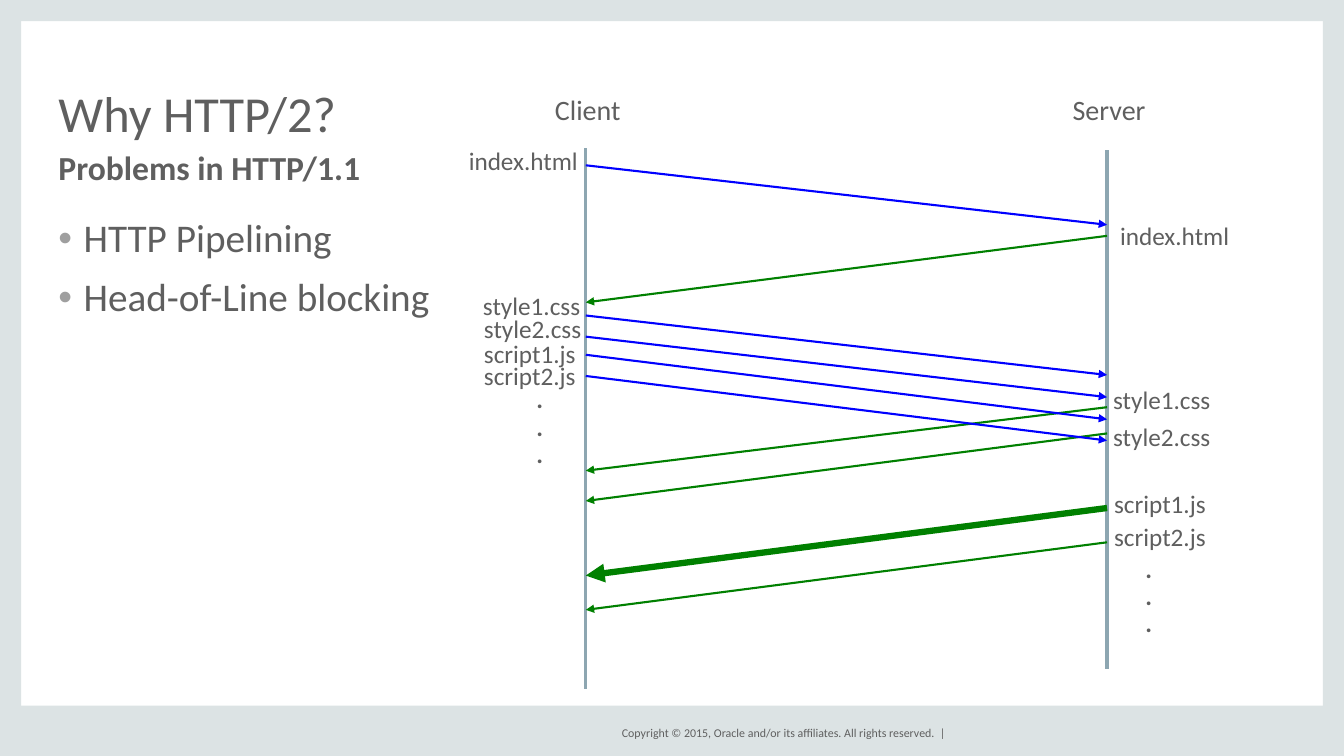
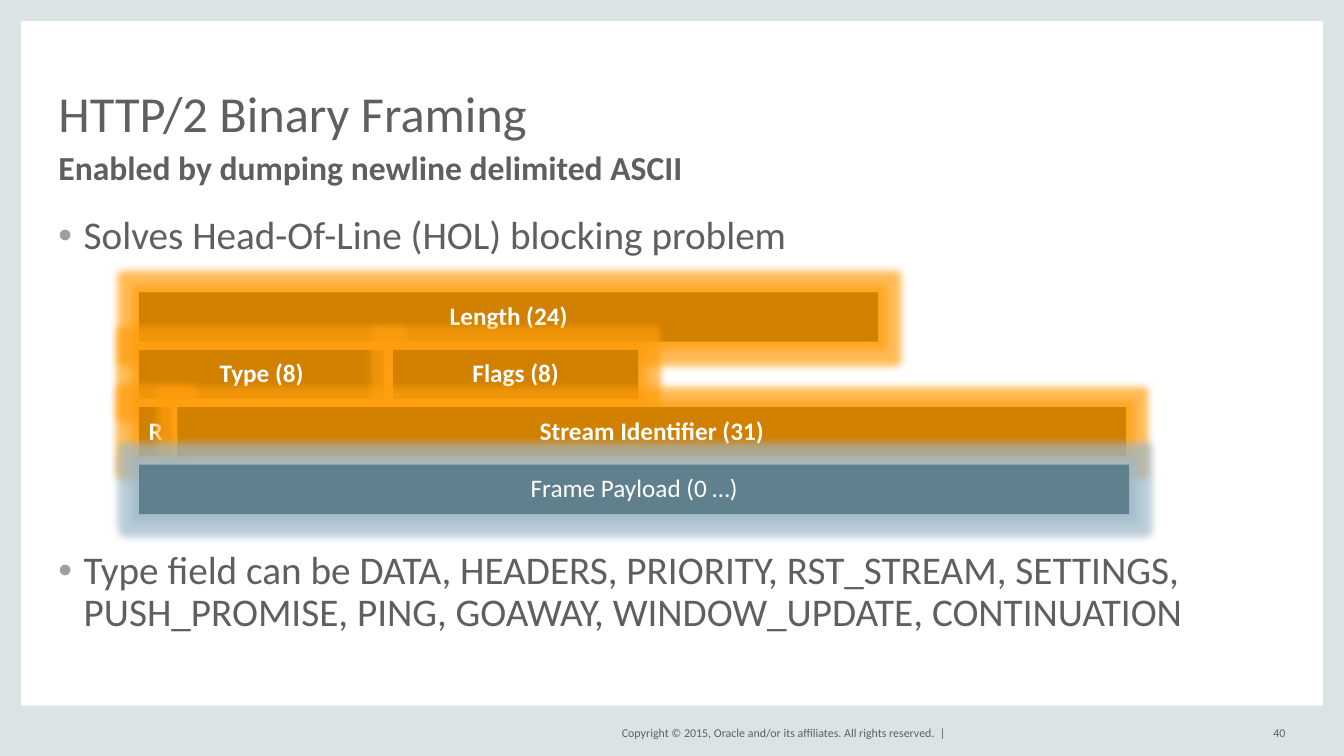
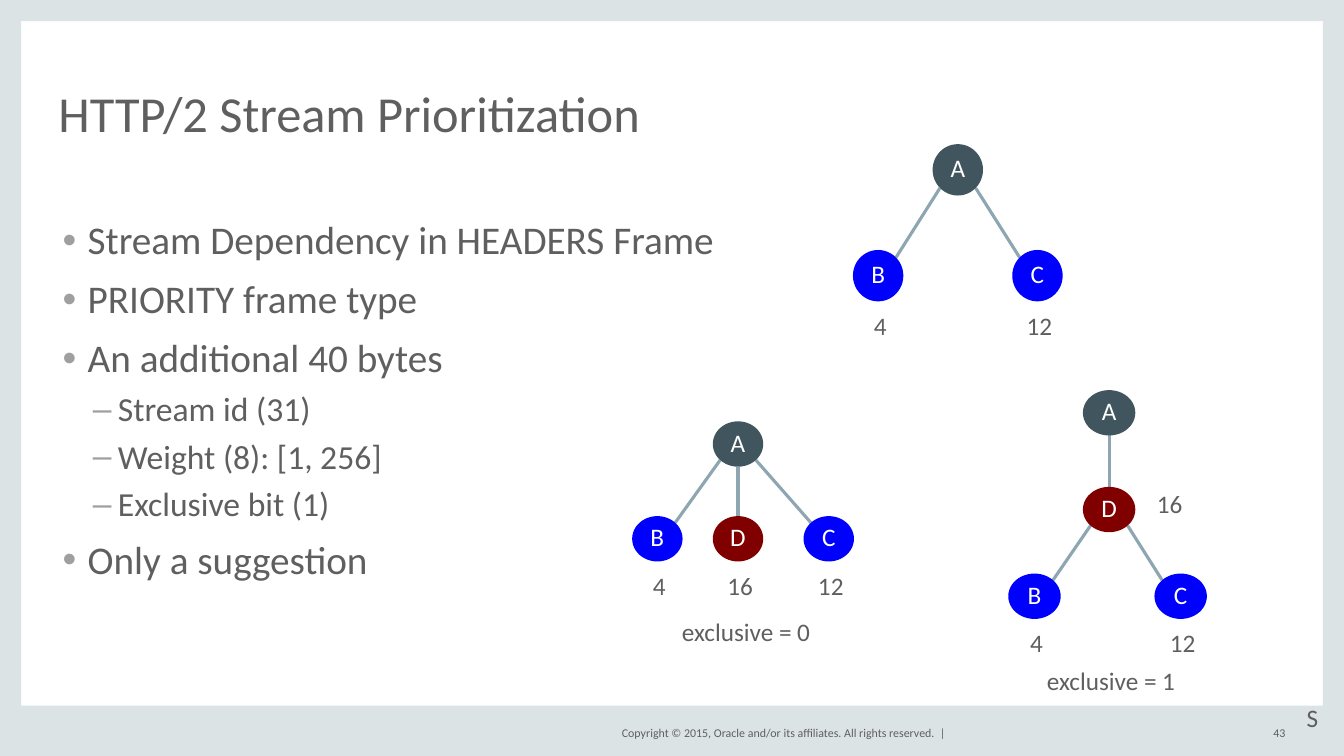
from lxml import etree
from pptx import Presentation
from pptx.dml.color import RGBColor
from pptx.enum.shapes import MSO_CONNECTOR, MSO_SHAPE
from pptx.enum.text import MSO_ANCHOR, MSO_AUTO_SIZE, PP_ALIGN
from pptx.oxml.ns import qn
from pptx.util import Inches, Pt

FONT = "Calibri"
COLORS = {
    "band": "DCE3E4", "text": "5F5F5F", "bullet": "9F9F9F", "white": "FFFFFF",
    "line": "8DA6B1", "request": "0000FF", "response": "008000",
    "header": "D18000", "header_glow": "FF9F0F",
    "payload": "61808E", "payload_glow": "9DB8C9",
    "root": "41555E", "stream": "0000FF", "inserted": "800000",
}
COPYRIGHT = "Copyright © 2015, Oracle and/or its affiliates. All rights reserved.  |"
BULLETS = [("•", 0.25, 28, 12), ("–", 0.55, 24, 8)]  # mark, indent, size, space before
DIAGONAL = 0.5 ** 0.5


def rgb(name):
    return RGBColor.from_string(COLORS[name])


def sub(parent, tag, **attributes):
    return etree.SubElement(parent, qn(tag), attributes)


# Text
def style(paragraph, size, color="text", bold=False, align=PP_ALIGN.LEFT, spacing=0.9):
    paragraph.alignment = align
    paragraph.line_spacing = spacing
    font = paragraph.font
    font.name, font.size, font.bold = FONT, Pt(size), bold
    font.color.rgb = rgb(color)


def prepare_frame(frame, anchor=MSO_ANCHOR.TOP, wrap=True):
    frame.auto_size = MSO_AUTO_SIZE.NONE
    frame.word_wrap = wrap
    frame.vertical_anchor = anchor
    frame.margin_left = frame.margin_right = 0
    frame.margin_top = frame.margin_bottom = 0


def place(placeholder, left, top, width, height, anchor=MSO_ANCHOR.TOP):
    placeholder.left, placeholder.top = Inches(left), Inches(top)
    placeholder.width, placeholder.height = Inches(width), Inches(height)
    prepare_frame(placeholder.text_frame, anchor)
    return placeholder.text_frame


def add_label(slide, text, left, top, width, height, size=18,
              anchor=MSO_ANCHOR.TOP, **look):
    box = slide.shapes.add_textbox(Inches(left), Inches(top), Inches(width), Inches(height))
    frame = box.text_frame
    prepare_frame(frame, anchor, wrap=False)
    frame.text = text
    for paragraph in frame.paragraphs:
        style(paragraph, size, **look)


def add_centered(slide, text, center, top, size=18):
    add_label(slide, text, center - 0.5, top, 1, 0.43, size, align=PP_ALIGN.CENTER)


# Shapes and lines
def add_block(slide, kind, left, top, width, height, fill, text="", bold=False):
    block = slide.shapes.add_shape(kind, Inches(left), Inches(top),
                                   Inches(width), Inches(height))
    block.shadow.inherit = False
    block.fill.solid()
    block.fill.fore_color.rgb = rgb(fill)
    block.line.fill.background()
    if text:
        prepare_frame(block.text_frame, MSO_ANCHOR.MIDDLE, wrap=False)
        block.text_frame.text = text
        style(block.text_frame.paragraphs[0], 18, "white", bold, PP_ALIGN.CENTER)
    return block


def add_glow(block, color):
    effects = block._element.spPr.find(qn("a:effectLst"))
    glow = sub(effects, "a:glow", rad=str(Pt(11)))
    tint = sub(glow, "a:srgbClr", val=COLORS[color])
    sub(tint, "a:alpha", val="70000")


def add_line(slide, start, end, color="line", width=2.25, arrow=False):
    line = slide.shapes.add_connector(MSO_CONNECTOR.STRAIGHT,
                                      *(Inches(value) for value in (*start, *end)))
    line.line.color.rgb = rgb(color)
    line.line.width = Pt(width)
    if arrow:
        sub(line.line._get_or_add_ln(), "a:tailEnd", type="triangle")
    sub(line._element.spPr, "a:effectLst")


# Shared slide parts
def add_frame(slide, number):
    for band in ((0, 0, 0.21, 7.5), (13.12, 0, 0.21, 7.5),
                 (0, 7, 13.33, 0.5), (0, 0, 13.33, 0.21)):
        add_block(slide, MSO_SHAPE.RECTANGLE, *band, "band")
    footers = [(COPYRIGHT, 5.88, 3.5)]
    if number:
        footers.append((number, 12.33, 0.42))
    for text, left, width in footers:
        add_label(slide, text, left, 7.17, width, 0.2, 8.5, MSO_ANCHOR.MIDDLE,
                  align=PP_ALIGN.RIGHT, spacing=1.0)


def fill_list(frame, items):
    frame.text = "\n".join(text for text, _ in items)
    for index, (paragraph, (_, level)) in enumerate(zip(frame.paragraphs, items)):
        mark, indent, size, before = BULLETS[level]
        paragraph.level = level
        properties = paragraph._p.get_or_add_pPr()
        properties.set("marL", str(Inches(indent)))
        properties.set("indent", str(Inches(-0.25)))
        sub(sub(properties, "a:buClr"), "a:srgbClr", val=COLORS["bullet"])
        sub(properties, "a:buFont", typeface="Arial")
        sub(properties, "a:buChar", char=mark)
        paragraph.space_before = Pt(before if index else 0)
        style(paragraph, size)


def add_content_slide(deck, title, items, list_left, list_top, subtitle="", number=""):
    slide = deck.slides.add_slide(deck.slide_layouts[3 if subtitle else 1])
    heading = place(slide.shapes.title, 0.58, 0.44, 12.17, 0.97, MSO_ANCHOR.BOTTOM)
    heading.text = title
    style(heading.paragraphs[0], 36, spacing=0.8)
    if subtitle:
        tagline = place(slide.placeholders[1], 0.58, 1.5, 12.17, 0.38)
        tagline.text = subtitle
        paragraph = tagline.paragraphs[0]
        properties = paragraph._p.get_or_add_pPr()
        properties.set("marL", "0")
        properties.set("indent", "0")
        sub(properties, "a:buNone")
        paragraph.space_before = Pt(0)
        style(paragraph, 24, bold=True)
    body = place(slide.placeholders[2 if subtitle else 1], list_left, list_top, 12.17, 4.33)
    fill_list(body, items)
    add_frame(slide, number)
    return slide, body


# Message exchange between client and server
def add_sequence(slide, left, top):
    client, server = left + 1.21, left + 6.38
    for name, x, start, end in (("Client", client, 0.57, 5.94),
                                ("Server", server, 0.59, 5.74)):
        add_centered(slide, name, x + 0.02, top + 0.06, 20)
        add_line(slide, (x, top + start), (x, top + end))

    # name, label left, label top, departure, arrival, line width
    responses = [
        ("index.html", 6.51, 1.32, 1.44, 2.1, 1.5),
        ("style1.css", 6.44, 2.95, 3.14, 3.77, 1.5),
        ("style2.css", 6.44, 3.31, 3.4, 4.07, 1.5),
        ("script1.js", 6.45, 3.98, 4.14, 4.81, 4.5),
        ("script2.js", 6.45, 4.31, 4.48, 5.15, 1.5),
    ]
    requests = [
        ("index.html", 0.05, 0.58, 0.74, 1.33, 1.5),
        ("style1.css", 0.19, 2.01, 2.23, 2.82, 1.5),
        ("style2.css", 0.2, 2.24, 2.44, 3.04, 1.5),
        ("script1.js", 0.2, 2.49, 2.62, 3.26, 1.5),
        ("script2.js", 0.2, 2.71, 2.83, 3.47, 1.5),
    ]
    for messages, sender, receiver, color in ((responses, server, client, "response"),
                                              (requests, client, server, "request")):
        for name, label_left, label_top, departure, arrival, width in messages:
            add_line(slide, (sender, top + departure), (receiver, top + arrival),
                     color, width, arrow=True)
            add_label(slide, name, left + label_left, top + label_top, 1, 0.36)

    for dots_left, dots_top in ((0.72, 2.94), (6.76, 4.62)):
        add_label(slide, ".\n.\n.", left + dots_left, top + dots_top, 0.3, 1, bold=True)


# Layout of one binary frame
def add_frame_fields(slide, left, top):
    # text, row, offset, width
    fields = [
        ("Length (24)", 0, 0, 7.33),
        ("Type (8)", 1, 0, 2.43),
        ("Flags (8)", 1, 2.52, 2.43),
        ("R", 2, 0, 0.33),
        ("Stream Identifier (31)", 2, 0.38, 9.41),
        ("Frame Payload (0 …)", 3, 0, 9.82),
    ]
    for text, row, offset, width in fields:
        kind = "payload" if row == 3 else "header"
        block = add_block(slide, MSO_SHAPE.RECTANGLE, left + offset, top + 0.57 * row,
                          width, 0.49, kind, text, bold=kind == "header")
        add_glow(block, kind + "_glow")


# Dependency tree of streams
def add_tree(slide, left, top, node_size, nodes, edges, caption="", caption_at=(0, 0)):
    """nodes: name -> (x, y, fill, weight, weight beside the node)."""
    width, height = node_size
    centers = {name: (left + x + width / 2, top + y + height / 2)
               for name, (x, y, *_) in nodes.items()}
    for parent, child in edges:
        (px, py), (cx, cy) = centers[parent], centers[child]
        side = (cx > px) - (cx < px)
        dx = side * width / 2 * DIAGONAL
        dy = height / 2 * (DIAGONAL if side else 1)
        add_line(slide, (px + dx, py + dy), (cx - dx, cy - dy))
    for name, (x, y, fill, weight, beside) in nodes.items():
        add_block(slide, MSO_SHAPE.OVAL, left + x, top + y, width, height, fill, name)
        cx, cy = centers[name]
        if beside:
            add_centered(slide, weight, cx + 0.6, cy - 0.18)
        elif weight:
            add_centered(slide, weight, cx + 0.02, cy + height / 2 + 0.12)
    if caption:
        add_centered(slide, caption, left + caption_at[0], top + caption_at[1])


def build_why(deck):
    slide, _ = add_content_slide(
        deck, "Why HTTP/2?", [("HTTP Pipelining", 0), ("Head-of-Line blocking", 0)],
        0.58, 2.17, "Problems in HTTP/1.1")
    add_sequence(slide, 4.6, 0.9)


def build_framing(deck):
    slide, body = add_content_slide(
        deck, "HTTP/2 Binary Framing",
        [("Solves Head-Of-Line (HOL) blocking problem", 0),
         ("Type field can be DATA, HEADERS, PRIORITY, RST_STREAM, SETTINGS, "
          "PUSH_PROMISE, PING, GOAWAY, WINDOW_UPDATE, CONTINUATION", 0)],
        0.58, 2.14, "Enabled by dumping newline delimited ASCII", "40")
    body.paragraphs[1].space_before = Pt(209)  # room for the frame fields
    add_frame_fields(slide, 1.38, 2.9)


def build_prioritization(deck):
    slide, _ = add_content_slide(
        deck, "HTTP/2 Stream Prioritization",
        [("Stream Dependency in HEADERS Frame", 0), ("PRIORITY frame type", 0),
         ("An additional 40 bytes", 0), ("Stream id (31)", 1),
         ("Weight (8): [1, 256]", 1), ("Exclusive bit (1)", 1),
         ("Only a suggestion", 0)],
        0.62, 2.19, number="43")
    add_label(slide, "S", 12.96, 7, 0.37, 0.5)
    add_tree(slide, 8.46, 1.43, (0.5, 0.51), {
        "A": (0.79, 0, "root", "", False),
        "B": (0, 1.05, "stream", "4", False),
        "C": (1.58, 1.05, "stream", "12", False),
    }, ["AB", "AC"])
    add_tree(slide, 6.27, 4.18, (0.5, 0.45), {
        "A": (0.8, 0, "root", "", False),
        "B": (0, 0.94, "stream", "4", False),
        "C": (1.7, 0.94, "stream", "12", False),
        "D": (0.8, 0.94, "inserted", "16", False),
    }, ["AB", "AC", "AD"], "exclusive = 0", (1.13, 1.97))
    add_tree(slide, 10, 3.87, (0.52, 0.45), {
        "A": (0.74, 0, "root", "", False),
        "B": (0, 1.82, "stream", "4", False),
        "C": (1.45, 1.82, "stream", "12", False),
        "D": (0.74, 0.96, "inserted", "16", True),
    }, ["AD", "DB", "DC"], "exclusive = 1", (1.02, 2.76))


def main():
    deck = Presentation()
    deck.slide_width, deck.slide_height = Inches(13.33), Inches(7.5)
    build_why(deck)
    build_framing(deck)
    build_prioritization(deck)
    deck.save("out.pptx")


if __name__ == "__main__":
    main()
